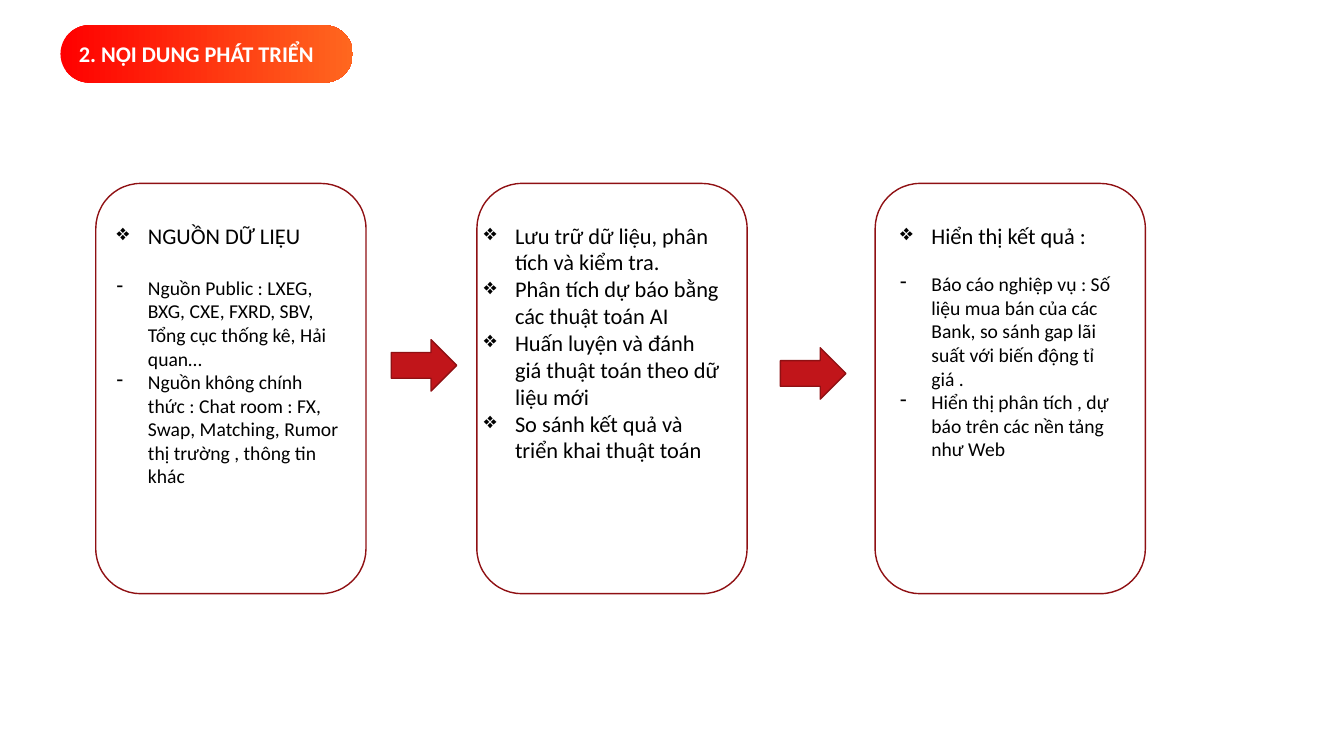
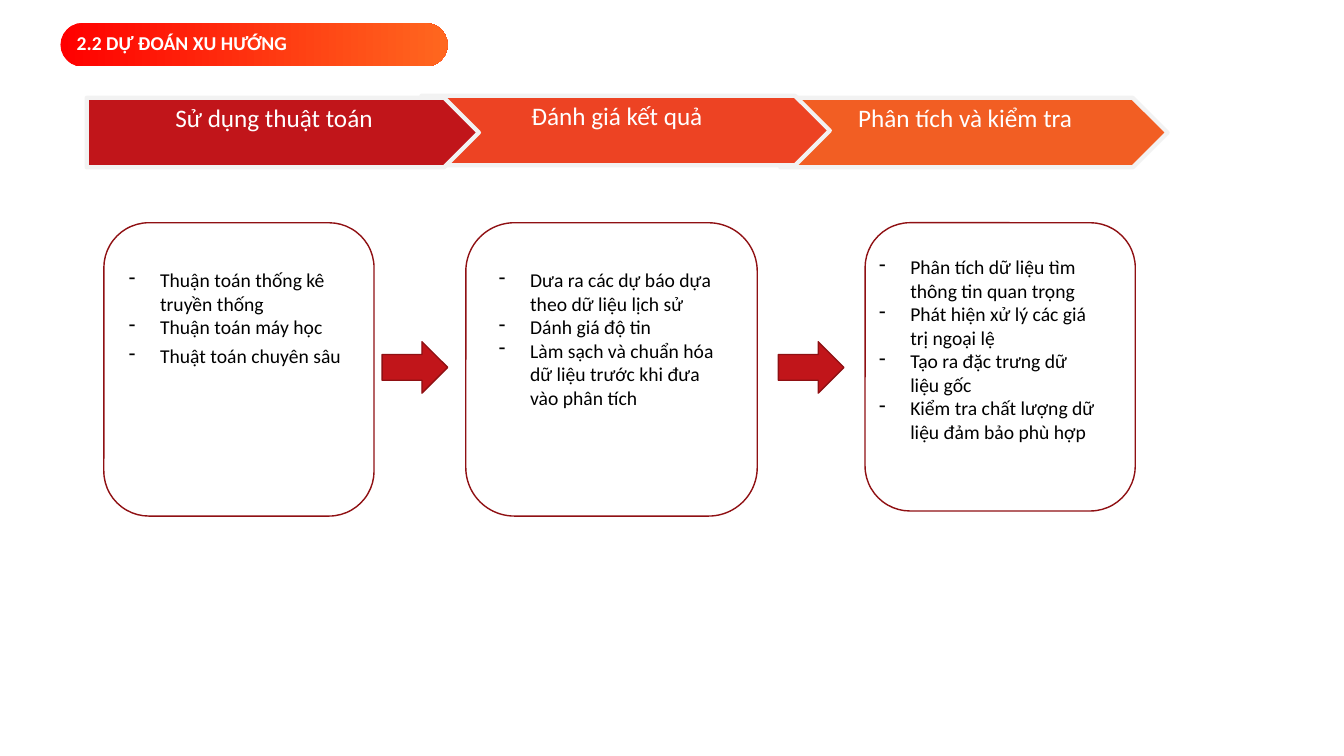
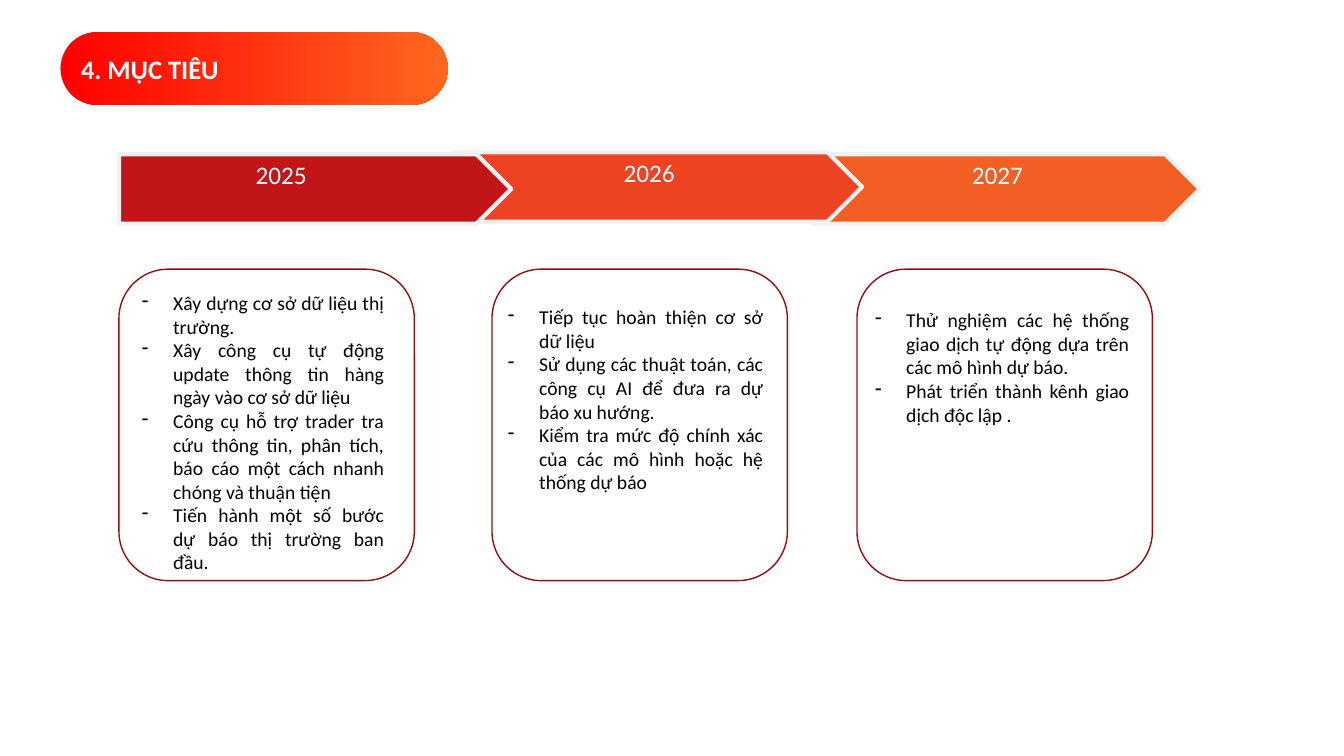
import pptx
import pptx.dml.color
import pptx.enum.shapes
import pptx.enum.text
import pptx.oxml
import pptx.oxml.ns
import pptx.util

Inches = pptx.util.Inches
Pt = pptx.util.Pt
SHAPES = pptx.enum.shapes.MSO_SHAPE
ALIGN = pptx.enum.text.PP_ALIGN
ANCHOR = pptx.enum.text.MSO_ANCHOR

FONT = "Calibri"
WHITE, BLACK, EDGE = "FFFFFF", "000000", "F2F2F2"
RED, DARK_RED, ORANGE_RED, ORANGE = "C1151A", "8F1013", "ED4323", "F25E23"
TITLE_GRADIENT = ("FF0000", "FF671F")
BULLET_INDENT = Inches(0.31)


def color(hex_string):
    return pptx.dml.color.RGBColor.from_string(hex_string)


def set_bullet(paragraph, character):
    """Give the paragraph a hanging indent and a bullet character."""
    properties = paragraph._p.get_or_add_pPr()
    properties.set("marL", str(BULLET_INDENT))
    properties.set("indent", str(-BULLET_INDENT))
    bullet = pptx.oxml.parse_xml(
        f'<a:buChar {pptx.oxml.ns.nsdecls("a")} char="{character}"/>')
    properties.append(bullet)


def write(paragraph, text, size=14, text_color=BLACK, bold=False,
          align=ALIGN.LEFT, bullet=None, space_before=0, line_spacing=None):
    paragraph.alignment = align
    paragraph.space_before = Pt(space_before)
    if line_spacing:
        paragraph.line_spacing = line_spacing
    if bullet:
        set_bullet(paragraph, bullet)
    run = paragraph.add_run()
    run.text = text
    run.font.name = FONT
    run.font.size = Pt(size)
    run.font.bold = bold
    run.font.color.rgb = color(text_color)


def heading(text):
    return {"text": text, "size": 16, "bullet": "❖"}


def item(text, **text_format):
    return {"text": text, "bullet": "-", **text_format}


class Deck:
    def __init__(self):
        self.presentation = pptx.Presentation()
        self.presentation.slide_width = Inches(13.33)
        self.presentation.slide_height = Inches(7.5)
        self.slide = None

    def new_slide(self, title, width, top, height, **title_format):
        """Start a slide with its gradient title pill."""
        layout = self.presentation.slide_layouts[6]
        self.slide = self.presentation.slides.add_slide(layout)
        pill = self.shape(SHAPES.ROUNDED_RECTANGLE, 0.6, top, width, height)
        pill.adjustments[0] = 0.5
        pill.fill.gradient()
        pill.fill.gradient_angle = 0
        for stop, stop_color in zip(pill.fill.gradient_stops, TITLE_GRADIENT):
            stop.color.rgb = color(stop_color)
        pill.text_frame.vertical_anchor = ANCHOR.MIDDLE
        write(pill.text_frame.paragraphs[0], title, text_color=WHITE,
              bold=True, **title_format)

    def shape(self, kind, left, top, width, height, fill=None, line=None,
              line_width=1):
        shape = self.slide.shapes.add_shape(
            kind, Inches(left), Inches(top), Inches(width), Inches(height))
        shape.shadow.inherit = False
        if fill:
            shape.fill.solid()
            shape.fill.fore_color.rgb = color(fill)
        else:
            shape.fill.background()
        if line:
            shape.line.color.rgb = color(line)
            shape.line.width = Pt(line_width)
        else:
            shape.line.fill.background()
        return shape

    def frame(self, left, top, width, height):
        self.shape(SHAPES.ROUNDED_RECTANGLE, left, top, width, height,
                   line=DARK_RED)

    def arrow(self, left, top):
        self.shape(SHAPES.RIGHT_ARROW, left, top, 0.65, 0.51, RED, DARK_RED)

    def bullets(self, left, top, width, height, entries, align=ALIGN.LEFT):
        box = self.slide.shapes.add_textbox(
            Inches(left), Inches(top), Inches(width), Inches(height))
        text_frame = box.text_frame
        text_frame.word_wrap = True
        for index, entry in enumerate(entries):
            paragraph = (text_frame.add_paragraph() if index
                         else text_frame.paragraphs[0])
            write(paragraph, align=align, **entry)

    def process_band(self, left, top, labels, first_shift=0):
        """Draw three overlapping steps; first_shift moves the first label left."""
        steps = [(0, 0.02, 3.89, RED, first_shift),
                 (3.32, 0, 4.05, ORANGE_RED, 0),
                 (6.88, 0.02, 3.84, ORANGE, 0)]
        for label, step in reversed(list(zip(labels, steps))):
            offset, drop, width, fill, shift = step
            pentagon = self.shape(SHAPES.PENTAGON, left + offset, top + drop,
                                  width, 0.69, fill, EDGE, 3)
            text_frame = pentagon.text_frame
            text_frame.vertical_anchor = ANCHOR.TOP
            text_frame.margin_right = Inches(0.1 + 2 * shift)
            write(text_frame.paragraphs[0], label, size=18, text_color=WHITE,
                  align=ALIGN.CENTER)

    def save(self):
        self.presentation.save("out.pptx")


def add_development_slide(deck):
    deck.new_slide("2. NỘI DUNG PHÁT TRIỂN", 2.9, 0.25, 0.57, size=16)
    for left in (0.95, 4.73, 8.68):
        deck.frame(left, 1.82, 2.68, 4.07)
    deck.arrow(3.88, 3.37)
    deck.arrow(7.74, 3.45)
    deck.bullets(1.06, 2.15, 2.44, 3.74, [
        heading("NGUỒN DỮ LIỆU"),
        item("Nguồn Public : LXEG, BXG, CXE, FXRD, SBV, Tổng cục thống kê, "
             "Hải quan…", space_before=19.5),
        item("Nguồn không chính thức : Chat room : FX, Swap, Matching, Rumor "
             "thị trường , thông tin khác"),
    ])
    deck.bullets(4.7, 2.15, 2.6, 3.06, [
        heading("Lưu trữ dữ liệu, phân tích và kiểm tra."),
        heading("Phân tích dự báo bằng các thuật toán AI"),
        heading("Huấn luyện và đánh giá thuật toán theo dữ liệu mới"),
        heading("So sánh kết quả và triển khai thuật toán"),
    ])
    deck.bullets(8.83, 2.15, 2.37, 3.1, [
        heading("Hiển thị kết quả :"),
        item("Báo cáo nghiệp vụ : Số liệu mua bán của các Bank, so sánh gap "
             "lãi suất với biến động tỉ giá .", space_before=17),
        item("Hiển thị phân tích , dự báo trên các nền tảng như Web"),
    ])


def add_forecast_slide(deck):
    deck.new_slide("2.2 DỰ ĐOÁN XU HƯỚNG", 3.84, 0.23, 0.43, line_spacing=0.8)
    deck.process_band(0.86, 0.95, ["Sử dụng thuật toán", "Đánh giá kết quả",
                                   "Phân tích và kiểm tra"])
    for left, width, height in ((1.03, 2.68, 2.91), (4.62, 2.89, 2.91),
                                (8.58, 2.68, 2.86)):
        deck.frame(left, 2.21, width, height)
    for left in (3.79, 7.72):
        deck.arrow(left, 3.39)
    deck.bullets(1.18, 2.61, 2.44, 2.3, [
        item("Thuận toán thống kê truyền thống"),
        item("Thuận toán máy học"),
        item("Thuật toán chuyên sâu", space_before=4),
    ])
    deck.bullets(4.85, 2.61, 2.44, 1.9, [
        item("Dưa ra các dự báo dựa theo dữ liệu lịch sử"),
        item("Dánh giá độ tin"),
        item("Làm sạch và chuẩn hóa dữ liệu trước khi đưa vào phân tích"),
    ])
    deck.bullets(8.62, 2.48, 2.37, 2.6, [
        item("Phân tích dữ liệu tìm thông tin quan trọng"),
        item("Phát hiện xử lý các giá trị ngoại lệ"),
        item("Tạo ra đặc trưng dữ liệu gốc"),
        item("Kiểm tra chất lượng dữ liệu đảm bảo phù hợp"),
    ])


def add_goals_slide(deck):
    deck.new_slide("4. MỤC TIÊU", 3.84, 0.32, 0.72, size=19)
    deck.process_band(1.18, 1.51, ["2025", "2026", "2027"], first_shift=0.25)
    for left in (1.18, 4.88, 8.5):
        deck.frame(left, 2.67, 2.93, 3.09)
    deck.bullets(1.31, 2.84, 2.6, 3.2, [
        item("Xây dựng cơ sở dữ liệu thị trường."),
        item("Xây công cụ tự động update thông tin hàng ngày vào cơ sở dữ liệu"),
        item("Công cụ hỗ trợ trader tra cứu thông tin, phân tích, báo cáo một "
             "cách nhanh chóng và thuận tiện"),
        item("Tiến hành một số bước dự báo thị trường ban đầu."),
    ], ALIGN.JUSTIFY)
    deck.bullets(4.94, 2.98, 2.73, 2.3, [
        item("Tiếp tục hoàn thiện cơ sở dữ liệu"),
        item("Sử dụng các thuật toán, các công cụ AI để đưa ra dự báo xu hướng."),
        item("Kiểm tra mức độ chính xác của các mô hình hoặc hệ thống dự báo"),
    ], ALIGN.JUSTIFY)
    deck.bullets(8.58, 3.01, 2.72, 1.6, [
        item("Thử nghiệm các hệ thống giao dịch tự động dựa trên các mô hình "
             "dự báo."),
        item("Phát triển thành kênh giao dịch độc lập ."),
    ], ALIGN.JUSTIFY)


def main():
    deck = Deck()
    add_development_slide(deck)
    add_forecast_slide(deck)
    add_goals_slide(deck)
    deck.save()


if __name__ == "__main__":
    main()
